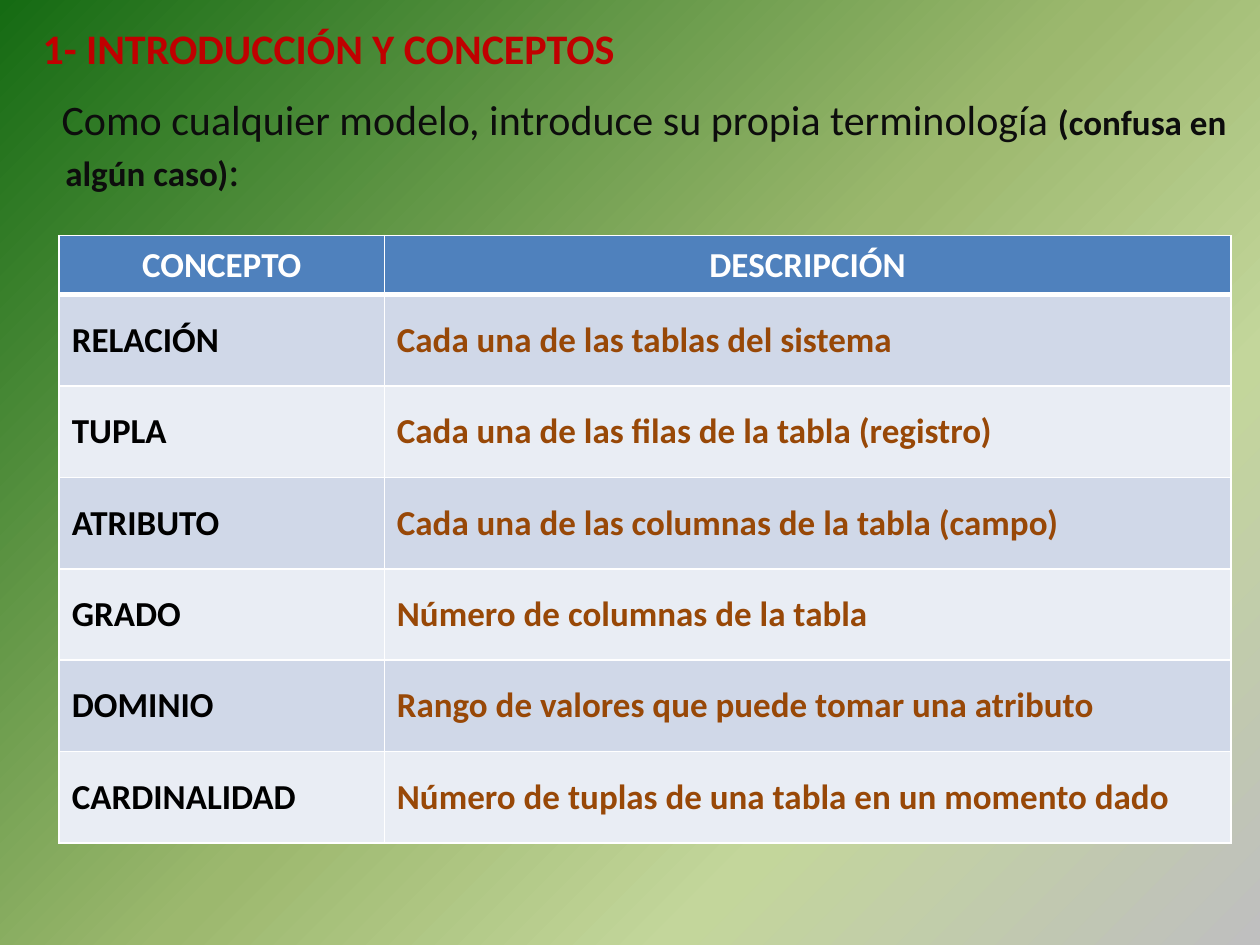
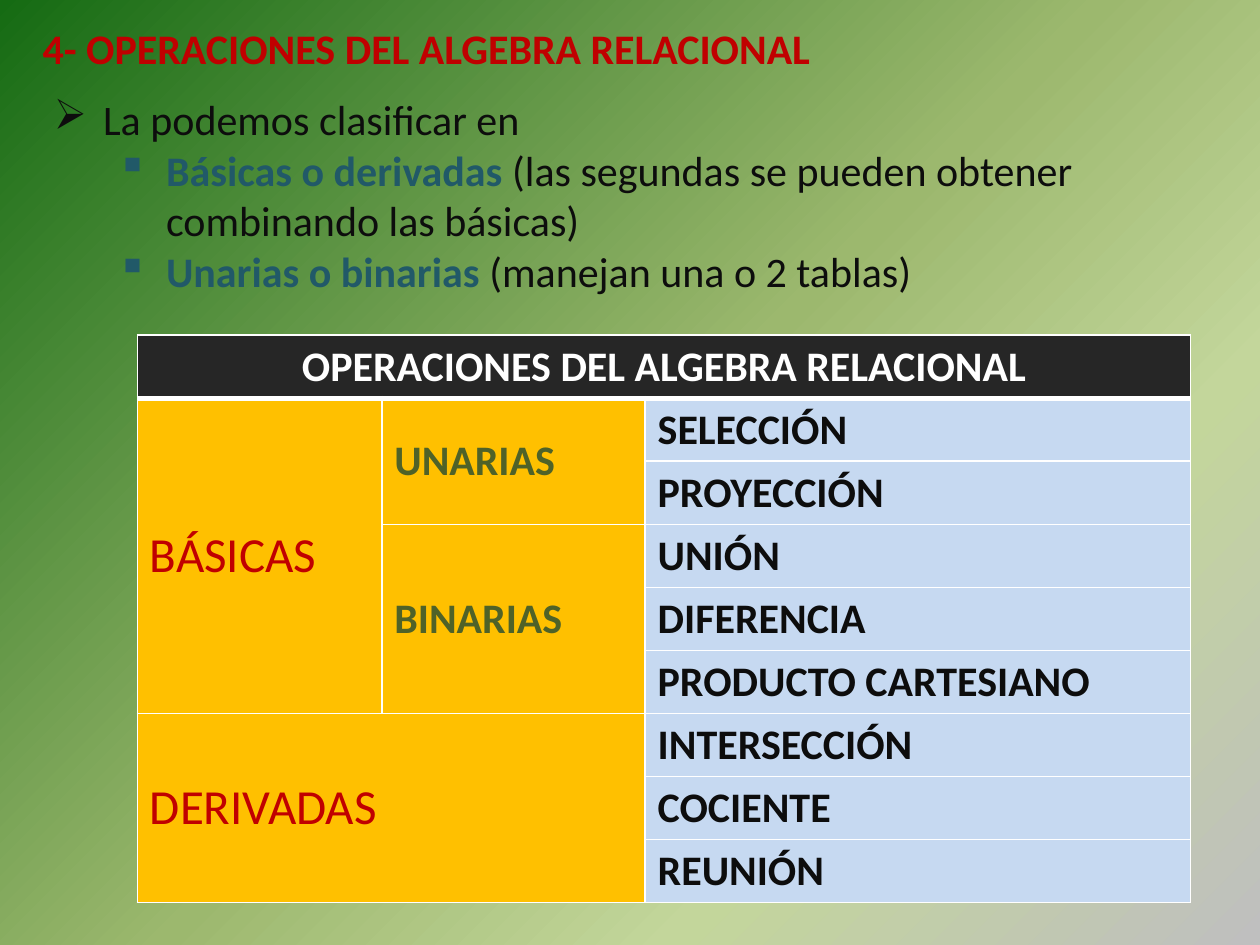
from dataclasses import dataclass

from lxml.etree import SubElement
from pptx import Presentation
from pptx.dml.color import RGBColor
from pptx.enum.text import MSO_ANCHOR as Anchor, PP_ALIGN as Align
from pptx.oxml.ns import qn
from pptx.util import Inches, Pt


# Shared look
@dataclass(frozen=True)
class Theme:
    font: str = "Calibri"
    heading_size: int = 24
    body_size: int = 24
    small_size: int = 20
    group_size: int = 28
    heading_gap: int = 12
    red: str = "C00000"
    ink: str = "0D0D0D"
    teal: str = "215968"
    brown: str = "984807"
    olive: str = "4F6228"
    black: str = "000000"
    white: str = "FFFFFF"
    blue: str = "4F81BD"
    bands: tuple[str, str] = ("D0D8E8", "E9EDF4")
    charcoal: str = "262626"
    amber: str = "FFC000"
    pale_blue: str = "C6D9F1"
    thin: float = 1
    thick: float = 3
    backdrop: tuple[tuple[int, str], ...] = (
        (0, "BFBFBF"), (27, "C3D69B"), (50, "9CB86E"), (100, "156B13"))


THEME = Theme()


@dataclass(frozen=True)
class Span:
    text: str
    color: str = THEME.ink
    size: int = THEME.body_size
    bold: bool = False


@dataclass(frozen=True)
class Line:
    spans: tuple[Span, ...]
    margin: float = 0
    indent: float = 0.01
    bullet: str = ""


@dataclass(frozen=True)
class Cell:
    row: int
    column: int
    span: Span
    fill: str
    rows: int = 1
    columns: int = 1
    align: Align = Align.LEFT
    anchor: Anchor = Anchor.MIDDLE


# Drawing functions
def add_span(para, text: str, *, color: str, size: int, bold: bool) -> None:
    run = para.add_run()
    run.text = text
    run.font.name = THEME.font
    run.font.size = Pt(size)
    run.font.bold = bold
    run.font.color.rgb = RGBColor.from_string(color)


def write_span(para, span: Span) -> None:
    add_span(para, span.text, color=span.color, size=span.size, bold=span.bold)


def write_line(para, line: Line) -> None:
    props = para._p.get_or_add_pPr()
    props.set("marL", str(Inches(line.margin)))
    props.set("indent", str(Inches(line.indent)))
    if line.bullet:
        SubElement(props, qn("a:buChar")).set("char", line.bullet)
    else:
        SubElement(props, qn("a:buNone"))
    for span in line.spans:
        write_span(para, span)


def paint_backdrop(page) -> None:
    page.background.fill.gradient()
    gradient = page.element.find(".//" + qn("a:gradFill"))
    for child in list(gradient):
        gradient.remove(child)
    stops = SubElement(gradient, qn("a:gsLst"))
    for position, color in THEME.backdrop:
        stop = SubElement(stops, qn("a:gs"), pos=str(position * 1000))
        SubElement(stop, qn("a:srgbClr"), val=color)
    shape = SubElement(gradient, qn("a:path"), path="circle")
    SubElement(shape, qn("a:fillToRect"), l="100000", t="100000")
    SubElement(gradient, qn("a:tileRect"), r="-100000", b="-100000")


def add_page(deck, heading: str, lines: list[Line], height: float):
    page = deck.slides.add_slide(deck.slide_layouts[6])
    paint_backdrop(page)
    box = page.shapes.add_textbox(Inches(0.23), Inches(0.13), Inches(9.77), Inches(height))
    frame = box.text_frame
    frame.word_wrap = True
    title = Span(heading, THEME.red, THEME.heading_size, True)
    write_line(frame.paragraphs[0], Line((title,)))
    for index, line in enumerate(lines):
        para = frame.add_paragraph()
        write_line(para, line)
        if index == 0:
            para.space_before = Pt(THEME.heading_gap)
    return page


def set_border(cell, side: str, width: float) -> None:
    border = SubElement(cell._tc.get_or_add_tcPr(), qn(f"a:ln{side}"), w=str(Pt(width)))
    paint = SubElement(border, qn("a:solidFill"))
    SubElement(paint, qn("a:srgbClr"), val=THEME.white)


def add_grid(page, left: float, top: float, widths: list[float],
             heights: list[float], cells: list[Cell]) -> None:
    frame = page.shapes.add_table(len(heights), len(widths), Inches(left), Inches(top),
                                  Inches(sum(widths)), Inches(sum(heights)))
    table = frame.table
    table.first_row = table.horz_banding = False
    for column, width in zip(table.columns, widths):
        column.width = Inches(width)
    for index, (row, height) in enumerate(zip(table.rows, heights)):
        row.height = Inches(height)
        for cell in row.cells:
            set_border(cell, "L", THEME.thin)
            set_border(cell, "R", THEME.thin)
            set_border(cell, "T", THEME.thick if index == 1 else THEME.thin)
            set_border(cell, "B", THEME.thick if index == 0 else THEME.thin)
    for item in cells:
        cell = table.cell(item.row, item.column)
        if item.rows * item.columns > 1:
            cell.merge(table.cell(item.row + item.rows - 1, item.column + item.columns - 1))
        cell.fill.solid()
        cell.fill.fore_color.rgb = RGBColor.from_string(item.fill)
        cell.vertical_anchor = item.anchor
        para = cell.text_frame.paragraphs[0]
        para.alignment = item.align
        write_span(para, item.span)


# Slide 1: terms of the relational model
def build_concepts(deck) -> None:
    intro = Line((
        Span("Como cualquier modelo, introduce su propia terminología "),
        Span("(confusa en algún caso)", size=THEME.small_size, bold=True),
        Span(":"),
    ), margin=0.19, indent=-0.03)
    page = add_page(deck, "1- INTRODUCCIÓN Y CONCEPTOS", [intro], 1.88)

    concepts = [
        ("RELACIÓN", "Cada una de las tablas del sistema"),
        ("TUPLA", "Cada una de las filas de la tabla (registro)"),
        ("ATRIBUTO", "Cada una de las columnas de la tabla (campo)"),
        ("GRADO", "Número de columnas de la tabla"),
        ("DOMINIO", "Rango de valores que puede tomar una atributo"),
        ("CARDINALIDAD", "Número de tuplas de una tabla en un momento dado"),
    ]
    cells = [Cell(0, column, Span(label, THEME.white, THEME.small_size, True),
                  THEME.blue, align=Align.CENTER)
             for column, label in enumerate(("CONCEPTO", "DESCRIPCIÓN"))]
    for row, pair in enumerate(concepts, start=1):
        for column, color in enumerate((THEME.black, THEME.brown)):
            cells.append(Cell(row, column, Span(pair[column], color, THEME.small_size, True),
                              THEME.bands[(row - 1) % 2]))
    header = 0.47
    row_height = (4.82 - header) / len(concepts)
    add_grid(page, 0.47, 1.87, [2.58, 6.72],
             [header] + [row_height] * len(concepts), cells)


# Slide 2: operations of relational algebra
def build_operations(deck) -> None:
    kinds = [
        ("Básicas o derivadas ", "(las segundas se pueden obtener combinando las básicas)"),
        ("Unarias o binarias ", "(manejan una o 2 tablas)"),
    ]
    lines = [Line((Span("La podemos clasificar en"),), 0.49, -0.39, "➢")]
    lines += [Line((Span(kind, THEME.teal, bold=True), Span(note)), 0.99, -0.39, "▪")
              for kind, note in kinds]
    page = add_page(deck, "4- OPERACIONES DEL ALGEBRA RELACIONAL", lines, 2.29)

    operations = ["SELECCIÓN", "PROYECCIÓN", "UNIÓN", "DIFERENCIA",
                  "PRODUCTO CARTESIANO", "INTERSECCIÓN", "COCIENTE", "REUNIÓN"]
    cells = [
        Cell(0, 0, Span("OPERACIONES DEL ALGEBRA RELACIONAL", THEME.white, bold=True),
             THEME.charcoal, columns=3, align=Align.CENTER, anchor=Anchor.TOP),
        Cell(1, 0, Span("BÁSICAS", THEME.red, THEME.group_size), THEME.amber, rows=5),
        Cell(1, 1, Span("UNARIAS", THEME.olive, bold=True), THEME.amber, rows=2),
        Cell(3, 1, Span("BINARIAS", THEME.olive, bold=True), THEME.amber, rows=3),
        Cell(6, 0, Span("DERIVADAS", THEME.red, THEME.group_size), THEME.amber,
             rows=3, columns=2),
    ]
    cells += [Cell(row, 2, Span(name, bold=True), THEME.pale_blue)
              for row, name in enumerate(operations, start=1)]
    add_grid(page, 1.09, 2.66, [1.94, 2.09, 4.33], [0.5] * (len(operations) + 1), cells)


def main() -> None:
    deck = Presentation()
    deck.slide_width, deck.slide_height = Inches(10), Inches(7.5)
    build_concepts(deck)
    build_operations(deck)
    deck.save("out.pptx")


if __name__ == "__main__":
    main()
